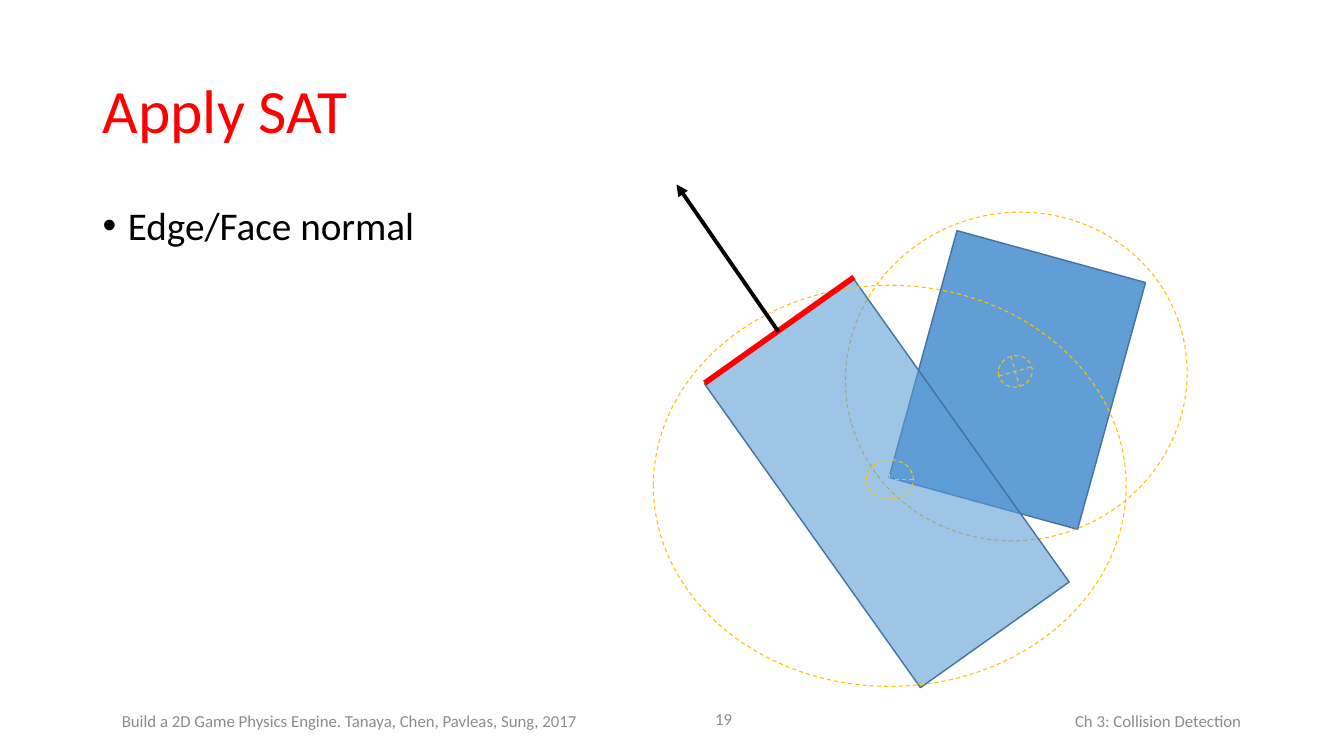
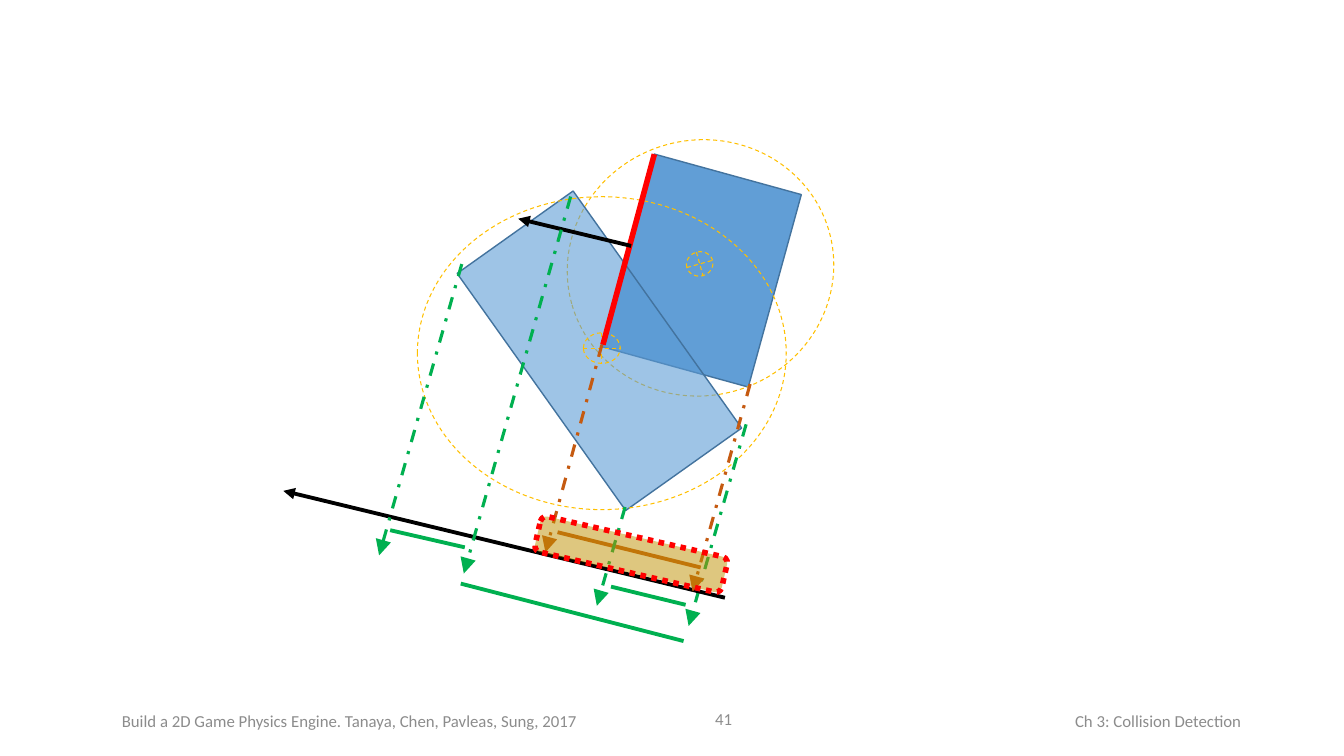
from lxml import etree
from pptx import Presentation
from pptx.dml.color import RGBColor
from pptx.enum.dml import MSO_LINE
from pptx.enum.shapes import MSO_CONNECTOR, MSO_SHAPE
from pptx.enum.text import MSO_ANCHOR, PP_ALIGN
from pptx.oxml.ns import qn
from pptx.util import Inches, Pt

FONT = "Calibri"
BLACK, RED, GRAY = "000000", "FF0000", "8C8C8C"
BLUE, BLUE_EDGE = "5B9BD5", "43739E"
YELLOW, GOLD, ORANGE, GREEN = "FFC000", "BF9000", "C55A11", "00B050"


def color(value):
    """Turn a hex string into a colour."""
    return RGBColor.from_string(value)


def add_text(slide, box, text, size, ink, align=PP_ALIGN.LEFT,
             anchor=MSO_ANCHOR.MIDDLE, spacing=1.0, bullet=False):
    """Add a one-paragraph text box."""
    frame = slide.shapes.add_textbox(*map(Inches, box)).text_frame
    frame.word_wrap = True
    frame.vertical_anchor = anchor
    paragraph = frame.paragraphs[0]
    paragraph.alignment = align
    paragraph.line_spacing = spacing
    if bullet:
        properties = paragraph._p.get_or_add_pPr()
        properties.set("marL", str(Inches(0.25)))
        properties.set("indent", str(-Inches(0.25)))
        etree.SubElement(properties, qn("a:buFont"), typeface="Arial")
        etree.SubElement(properties, qn("a:buChar"), char="•")
    run = paragraph.add_run()
    run.text = text
    run.font.name = FONT
    run.font.size = Pt(size)
    run.font.color.rgb = color(ink)


def set_line(line, ink, width, dash=None):
    """Style an outline or a connector."""
    line.color.rgb = color(ink)
    line.width = Pt(width)
    if dash is not None:
        line.dash_style = dash


def add_shape(slide, kind, box, rotation, line, fill=None, opacity=100):
    """Add a preset shape with an optional translucent fill."""
    shape = slide.shapes.add_shape(kind, *map(Inches, box))
    shape.rotation = rotation
    shape.shadow.inherit = False
    set_line(shape.line, *line)
    if fill is None:
        shape.fill.background()
    else:
        shape.fill.solid()
        shape.fill.fore_color.rgb = color(fill)
        tint = shape.fill._xPr.find(qn("a:solidFill"))[0]
        etree.SubElement(tint, qn("a:alpha"), val=str(opacity * 1000))


def add_line(slide, start, end, ink, width, dash=None, arrow=None):
    """Add a straight line, with an arrowhead of the given size at its end."""
    connector = slide.shapes.add_connector(
        MSO_CONNECTOR.STRAIGHT, *map(Inches, (*start, *end)))
    set_line(connector.line, ink, width, dash)
    if arrow:
        etree.SubElement(connector.line._get_or_add_ln(), qn("a:tailEnd"),
                         type="triangle", w=arrow, len=arrow)
    etree.SubElement(connector._element.spPr, qn("a:effectLst"))


def add_edge(slide, start, end):
    """Highlight the edge under test."""
    add_line(slide, start, end, RED, 4)


def add_axis(slide, start, end):
    """Add a black direction arrow."""
    add_line(slide, start, end, BLACK, 2.75, arrow="med")


def add_projection(slide, start, end, ink):
    """Add a dash-dotted arrow from a vertex to the axis."""
    add_line(slide, start, end, ink, 2.25, MSO_LINE.DASH_DOT, "lg")


def add_extent(slide, start, end, ink):
    """Add a bar showing a projected length."""
    add_line(slide, start, end, ink, 2.75)


def add_bodies(slide, left, top, scale):
    """Draw the two overlapping rectangles with their bounding circles."""
    edge = (BLUE_EDGE, 1)
    guide = (YELLOW, 0.75, MSO_LINE.DASH)
    parts = (
        (MSO_SHAPE.RECTANGLE, (2.64, 0.39, 1.94, 2.54), 15.4, edge, BLUE, 96),
        (MSO_SHAPE.OVAL, (1.9, 0, 3.4, 3.25), 344.4, guide),
        (MSO_SHAPE.FLOWCHART_OR, (3.42, 1.42, 0.34, 0.31), 344.4, guide),
        (MSO_SHAPE.RECTANGLE, (1.41, 0.83, 1.81, 3.7), 324.6, edge, BLUE, 59),
        (MSO_SHAPE.OVAL, (0, 0.72, 4.69, 3.98), 0, guide),
        (MSO_SHAPE.FLOWCHART_OR, (2.11, 2.45, 0.47, 0.39), 0, guide),
    )
    for kind, (x, y, width, height), *style in parts:
        box = (left + x * scale, top + y * scale, width * scale, height * scale)
        add_shape(slide, kind, box, *style)


def add_slide(presentation, number):
    """Add a blank slide with the shared footer."""
    slide = presentation.slides.add_slide(presentation.slide_layouts[6])
    footers = (
        ((7.6, 6.95, 4.81, 0.4), "Ch 3: Collision Detection", PP_ALIGN.RIGHT),
        ((1.11, 6.95, 5.05, 0.4),
         "Build a 2D Game Physics Engine. Tanaya, Chen, Pavleas, Sung, 2017",
         PP_ALIGN.LEFT),
        ((6.17, 6.93, 1.19, 0.4), str(number), PP_ALIGN.RIGHT),
    )
    for box, text, align in footers:
        add_text(slide, box, text, 12, GRAY, align)
    return slide


def build_normal_slide(presentation):
    """Show the normal of one edge."""
    slide = add_slide(presentation, 19)
    add_text(slide, (0.92, 0.4, 11.5, 1.45), "Apply SAT", 44, RED, spacing=0.9)
    add_text(slide, (0.92, 2, 11.5, 4.76), "Edge/Face normal", 28, BLACK,
             anchor=MSO_ANCHOR.TOP, spacing=0.9, bullet=True)
    add_bodies(slide, 6.48, 2.11, 1)
    add_edge(slide, (6.99, 3.8), (8.47, 2.75))
    add_axis(slide, (7.72, 3.29), (6.71, 1.83))


def build_projection_slide(presentation):
    """Show both bodies projected onto an edge normal."""
    slide = add_slide(presentation, 41)
    add_bodies(slide, 4.14, 1.39, 0.78)
    add_edge(slide, (5.98, 3.42), (6.49, 1.53))
    add_axis(slide, (6.26, 2.44), (5.14, 2.17))
    add_projection(slide, (5.97, 3.42), (5.41, 5.48), ORANGE)
    add_extent(slide, (6.95, 5.63), (5.53, 5.28), ORANGE)
    add_projection(slide, (7.4, 4.21), (6.83, 6.21), GREEN)
    add_extent(slide, (4.61, 5.43), (3.87, 5.26), GREEN)
    add_axis(slide, (7.19, 5.93), (2.81, 4.87))
    add_projection(slide, (7.44, 3.81), (6.87, 5.87), ORANGE)
    for vertex, foot in (((6.2, 5.03), (5.92, 6.01)),
                         ((5.66, 1.95), (4.6, 5.69)),
                         ((4.58, 2.62), (3.76, 5.51))):
        add_projection(slide, vertex, foot, GREEN)
    add_extent(slide, (6.8, 6), (6.06, 5.82), GREEN)
    add_extent(slide, (6.78, 6.36), (4.57, 5.79), GREEN)
    add_shape(slide, MSO_SHAPE.ROUNDED_RECTANGLE, (5.31, 5.32, 1.9, 0.36), 12.9,
              (RED, 4, MSO_LINE.ROUND_DOT), GOLD, 50)


def main():
    """Build and save the presentation."""
    presentation = Presentation()
    presentation.slide_width = Inches(13.33)
    presentation.slide_height = Inches(7.5)
    build_normal_slide(presentation)
    build_projection_slide(presentation)
    presentation.save("out.pptx")


if __name__ == "__main__":
    main()
